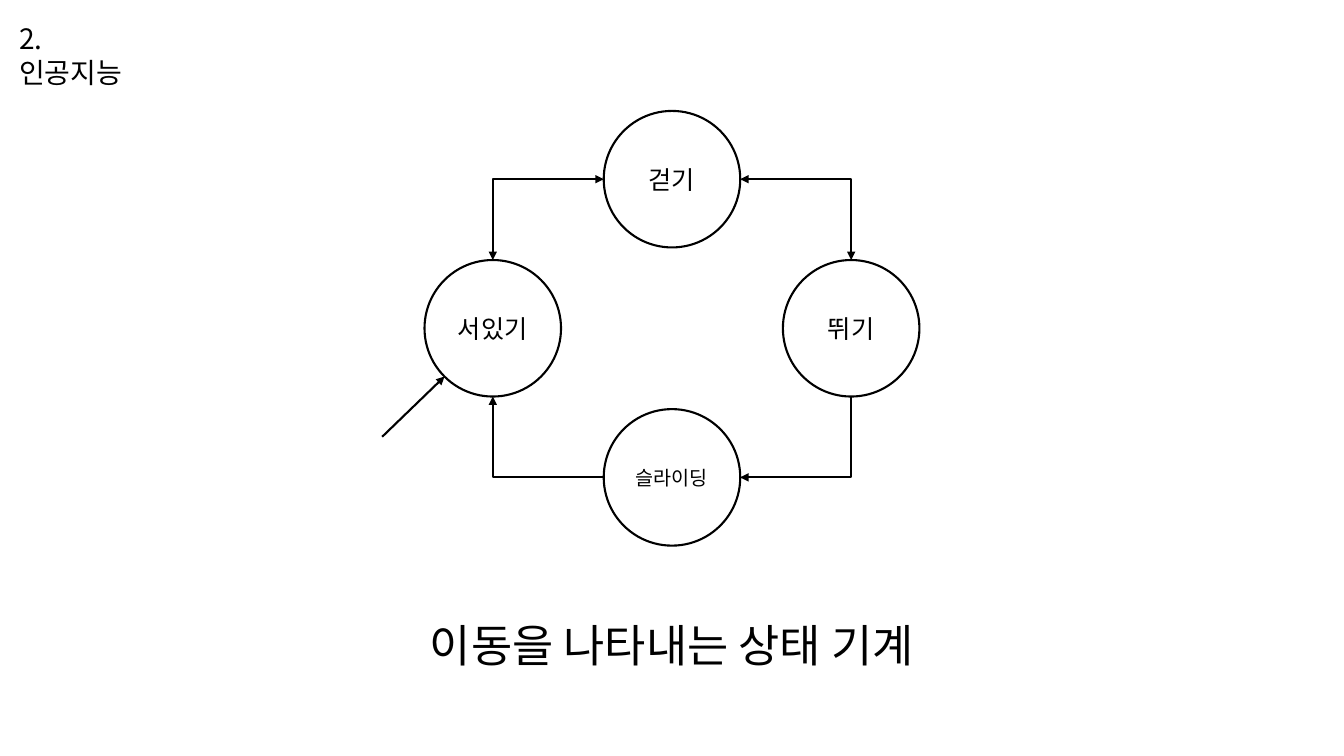
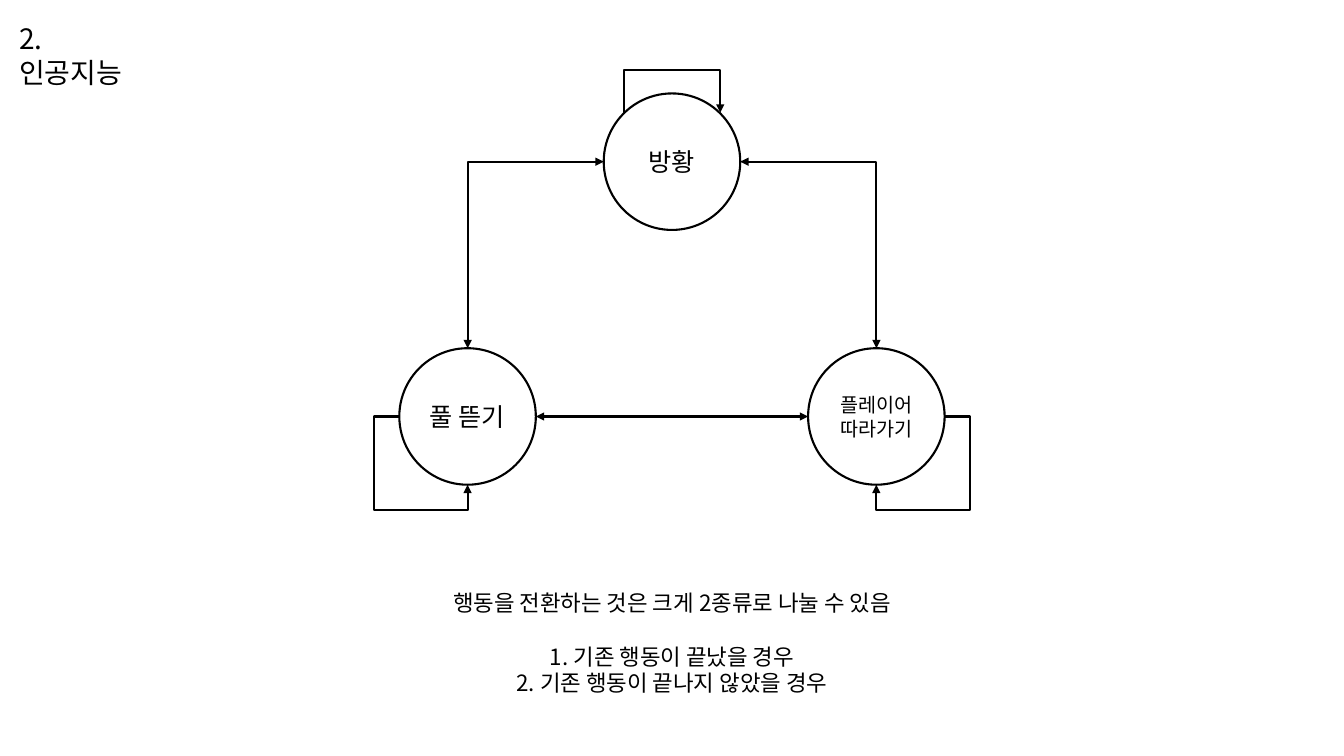
from math import cos, radians, sin

from lxml.etree import SubElement
from pptx import Presentation
from pptx.dml.color import RGBColor
from pptx.enum.shapes import MSO_CONNECTOR as Connector, MSO_SHAPE as Shape
from pptx.enum.text import MSO_ANCHOR as Anchor, MSO_AUTO_SIZE as AutoSize, PP_ALIGN as Align
from pptx.oxml.ns import qn
from pptx.util import Pt

# Shared look
COLORS = {"ink": "000000", "paper": "FFFFFF"}
FONT = "Noto Sans CJK KR"
SLIDE_WIDTH, SLIDE_HEIGHT = 960, 540
CENTER_X = SLIDE_WIDTH / 2
DIAMETER = 97.5
LINE_WIDTH = 1.5
SECTION_TITLE = "2. 인공지능"
TITLE_BOX = (6.5, 12, 100, 60)

# Connection sites of an ellipse, counterclockwise from the top
TOP, LEFT, BOTTOM_LEFT, BOTTOM, RIGHT = 0, 2, 3, 4, 6


def color(name):
    return RGBColor.from_string(COLORS[name])


def apply_format(target, values):
    for name, value in values.items():
        setattr(target, name, value)


def write_text(shape, lines, size, align, anchor, margin=7.2):
    """Fill a shape with paragraphs given as (text, space before)."""
    frame = shape.text_frame
    apply_format(frame, {
        "word_wrap": True, "auto_size": AutoSize.NONE, "vertical_anchor": anchor,
        "margin_left": Pt(margin), "margin_right": Pt(margin),
        "margin_top": Pt(3.6), "margin_bottom": Pt(3.6),
    })
    for index, (text, space) in enumerate(lines):
        paragraph = frame.add_paragraph() if index else frame.paragraphs[0]
        apply_format(paragraph, {"alignment": align, "space_before": Pt(space)})
        run = paragraph.add_run()
        run.text = text
        apply_format(run.font, {"name": FONT, "size": Pt(size), "bold": False})
        run.font.color.rgb = color("ink")
    # East Asian letters take the same font
    for properties in shape.element.iter(qn("a:rPr")):
        SubElement(properties, qn("a:ea"), typeface=FONT)


def add_titled_slide(presentation):
    slide = presentation.slides.add_slide(presentation.slide_layouts[5])
    title = slide.shapes.title
    apply_format(title, dict(zip(("left", "top", "width", "height"), map(Pt, TITLE_BOX))))
    write_text(title, [(SECTION_TITLE, 0)], 20, Align.LEFT, Anchor.TOP)
    return slide


def add_caption(slide, lines, top, width, height, size):
    caption = slide.shapes.add_textbox(
        Pt(CENTER_X - width / 2), Pt(top), Pt(width), Pt(height))
    write_text(caption, lines, size, Align.CENTER, Anchor.TOP)


def add_state(slide, text, center_x, center_y, size=18):
    state = slide.shapes.add_shape(
        Shape.OVAL, Pt(center_x - DIAMETER / 2), Pt(center_y - DIAMETER / 2),
        Pt(DIAMETER), Pt(DIAMETER))
    state.shadow.inherit = False
    state.fill.solid()
    state.fill.fore_color.rgb = color("paper")
    state.line.color.rgb = color("ink")
    state.line.width = Pt(LINE_WIDTH)
    write_text(state, [(text, 0)], size, Align.CENTER, Anchor.MIDDLE, margin=4)
    return state


def locate(end):
    """Return the point of an end: (state, site) or plain (x, y)."""
    if isinstance(end[0], (int, float)):
        return end
    state, site = end
    angle = radians(45 * site)
    radius = DIAMETER / 2
    return (state.left.pt + radius * (1 - sin(angle)),
            state.top.pt + radius * (1 - cos(angle)))


def bend(connector, start, end, preset, rotation, flips, adjustments):
    """Give a connector an elbow preset, turned about the middle of its ends."""
    width, height = abs(end[0] - start[0]), abs(end[1] - start[1])
    if rotation in (90, 270):
        width, height = height, width
    apply_format(connector, {
        "left": Pt((start[0] + end[0] - width) / 2),
        "top": Pt((start[1] + end[1] - height) / 2),
        "width": Pt(width), "height": Pt(height),
    })
    transform = connector.element.spPr.find(qn("a:xfrm"))
    transform.set("rot", str(rotation * 60000))
    for axis in "HV":
        transform.set("flip" + axis, "1" if axis in flips else "0")
    geometry = connector.element.spPr.find(qn("a:prstGeom"))
    geometry.set("prst", preset)
    guides = geometry.find(qn("a:avLst"))
    for number, value in enumerate(adjustments, 1):
        SubElement(guides, qn("a:gd"), name=f"adj{number}", fmla=f"val {round(value * 100000)}")


def add_arrow(slide, begin, end, two_way=False, preset=None, rotation=0, flips="", adjustments=()):
    start_point, end_point = locate(begin), locate(end)
    kind = Connector.ELBOW if preset else Connector.STRAIGHT
    arrow = slide.shapes.add_connector(kind, *map(Pt, (*start_point, *end_point)))
    if preset:
        bend(arrow, start_point, end_point, preset, rotation, flips, adjustments)
    # Join the ends that sit on a state
    joints = arrow.element.find(".//" + qn("p:cNvCxnSpPr"))
    for tag, (state, site) in (("a:stCxn", begin), ("a:endCxn", end)):
        if not isinstance(state, (int, float)):
            SubElement(joints, qn(tag), id=str(state.shape_id), idx=str(site))
    # Line and arrowheads
    arrow.line.color.rgb = color("ink")
    arrow.line.width = Pt(LINE_WIDTH)
    properties = arrow.element.spPr
    line = properties.find(qn("a:ln"))
    for tag in ("a:headEnd", "a:tailEnd") if two_way else ("a:tailEnd",):
        SubElement(line, qn(tag), type="triangle")
    SubElement(properties, qn("a:effectLst"))


def add_corner(slide, begin, end, rotation, flips="", two_way=False):
    add_arrow(slide, begin, end, two_way, "bentConnector2", rotation, flips)


def link_to_top(slide, left, right, top):
    """Join the two side states to the top state, both ways."""
    add_corner(slide, (left, TOP), (top, LEFT), 90, "HV", two_way=True)
    add_corner(slide, (right, TOP), (top, RIGHT), 270, "V", two_way=True)


def build_movement_slide(presentation):
    slide = add_titled_slide(presentation)
    middle_y, step_x, step_y = 234.5, 128, 106.5
    standing = add_state(slide, "서있기", CENTER_X - step_x, middle_y)
    running = add_state(slide, "뛰기", CENTER_X + step_x, middle_y)
    walking = add_state(slide, "걷기", CENTER_X, middle_y - step_y)
    sliding = add_state(slide, "슬라이딩", CENTER_X, middle_y + step_y, size=14)
    add_caption(slide, [("이동을 나타내는 상태 기계", 0)], 438, 400, 46, 32)

    # Entry arrow, then the transitions
    add_arrow(slide, (273, 312), (standing, BOTTOM_LEFT))
    link_to_top(slide, standing, running, walking)
    add_corner(slide, (running, BOTTOM), (sliding, RIGHT), 90)
    add_corner(slide, (sliding, LEFT), (standing, BOTTOM), 180)


def build_behavior_slide(presentation):
    slide = add_titled_slide(presentation)
    top_y, bottom_y, step_x = 115.5, 297.5, 146
    wandering = add_state(slide, "방황", CENTER_X, top_y)
    following = add_state(slide, "플레이어 따라가기", CENTER_X + step_x, bottom_y, size=14)
    grazing = add_state(slide, "풀 뜯기", CENTER_X - step_x, bottom_y)
    add_caption(slide, [
        ("행동을 전환하는 것은 크게 2종류로 나눌 수 있음", 0),
        ("1. 기존 행동이 끝났을 경우", 19.3),
        ("2. 기존 행동이 끝나지 않았을 경우", 0),
    ], 417, 330, 104, 16)

    # Transitions between states
    link_to_top(slide, grazing, following, wandering)
    add_arrow(slide, (grazing, RIGHT), (following, LEFT), two_way=True)

    # Loops back to the same state
    for state, side, rotation, flips in ((grazing, LEFT, 180, "HV"), (following, RIGHT, 0, "H")):
        add_arrow(slide, (state, side), (state, BOTTOM), preset="bentConnector4",
                  rotation=rotation, flips=flips, adjustments=(-0.37, 1.37))
    add_arrow(slide, (445.5, 81.5), (514.5, 80.5), preset="bentConnector3",
              rotation=90, flips="HV", adjustments=(32,))


def main():
    presentation = Presentation()
    apply_format(presentation, {
        "slide_width": Pt(SLIDE_WIDTH), "slide_height": Pt(SLIDE_HEIGHT)})
    build_movement_slide(presentation)
    build_behavior_slide(presentation)
    presentation.save("out.pptx")


if __name__ == "__main__":
    main()
